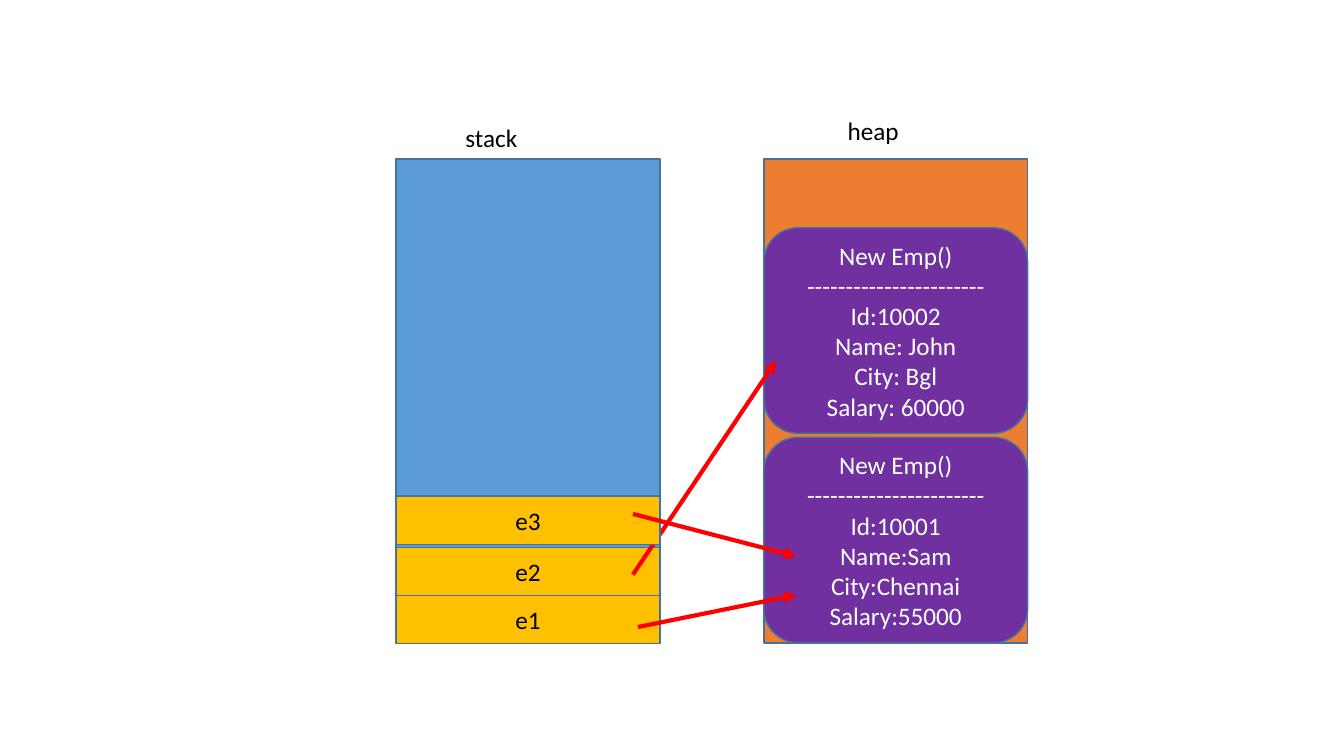
from dataclasses import dataclass

import pptx
import pptx.dml.color
import pptx.enum.shapes
import pptx.enum.text
import pptx.oxml
import pptx.oxml.ns
import pptx.util
from pptx.dml.color import RGBColor
from pptx.enum.shapes import MSO_SHAPE
from pptx.util import Cm

BLUE = RGBColor(0x5B, 0x9B, 0xD5)
ORANGE = RGBColor(0xED, 0x7D, 0x31)
AMBER = RGBColor(0xFF, 0xC0, 0x00)
PURPLE = RGBColor(0x70, 0x30, 0xA0)
OUTLINE = RGBColor(0x43, 0x73, 0x9E)
RED = RGBColor(0xFF, 0x00, 0x00)
BLACK = RGBColor(0x00, 0x00, 0x00)
WHITE = RGBColor(0xFF, 0xFF, 0xFF)

STACK_LEFT, HEAP_LEFT = 9.98, 19.25
MEMORY_TOP, MEMORY_HEIGHT = 4.01, 12.19
COLUMN_WIDTH = 6.65
VARIABLE_HEIGHT = 1.22
EMPLOYEE_HEIGHT = 5.18


@dataclass(frozen=True)
class Label:
    text: str
    left: float
    top: float


@dataclass(frozen=True)
class Reference:
    """A stack variable and the arrow to its heap object, in centimetres."""
    name: str
    top: float
    start: tuple[float, float]
    end: tuple[float, float]


@dataclass(frozen=True)
class Employee:
    top: float
    fields: tuple[str, ...]


LABELS = (Label("stack", 11.48, 2.97), Label("heap", 21.11, 2.77))
EMPLOYEES = (
    Employee(11.02, ("Id:10001", "Name:Sam", "City:Chennai", "Salary:55000")),
    Employee(5.74, ("Id:10002", "Name: John", "City: Bgl", "Salary: 60000")),
)
REFERENCES = (
    Reference("e1", 14.99, (16.08, 15.8), (20.07, 14.99)),
    Reference("e2", 13.79, (15.95, 14.48), (19.56, 9.09)),
    Reference("e3", 12.5, (15.95, 12.95), (20.07, 14.02)),
)


def write_lines(frame, lines: tuple[str, ...], color: RGBColor, alignment) -> None:
    for index, line in enumerate(lines):
        para = frame.add_paragraph() if index else frame.paragraphs[0]
        para.alignment = alignment
        span = para.add_run()
        span.text = line
        span.font.name = "Calibri"
        span.font.size = pptx.util.Pt(18)
        span.font.color.rgb = color


def add_block(page, kind: MSO_SHAPE, left: float, top: float, height: float,
              fill: RGBColor, lines: tuple[str, ...] = (),
              color: RGBColor = BLACK) -> None:
    box = page.shapes.add_shape(kind, Cm(left), Cm(top), Cm(COLUMN_WIDTH), Cm(height))
    box.shadow.inherit = False
    box.fill.solid()
    box.fill.fore_color.rgb = fill
    box.line.color.rgb = OUTLINE
    box.line.width = pptx.util.Pt(1)
    box.text_frame.vertical_anchor = pptx.enum.text.MSO_ANCHOR.MIDDLE
    write_lines(box.text_frame, lines, color, pptx.enum.text.PP_ALIGN.CENTER)


def add_label(page, label: Label) -> None:
    box = page.shapes.add_textbox(Cm(label.left), Cm(label.top), Cm(1.83), Cm(1.02))
    box.text_frame.word_wrap = False
    box.text_frame.auto_size = pptx.enum.text.MSO_AUTO_SIZE.SHAPE_TO_FIT_TEXT
    write_lines(box.text_frame, (label.text,), BLACK, pptx.enum.text.PP_ALIGN.LEFT)


def add_arrow(page, start: tuple[float, float], end: tuple[float, float]) -> None:
    arrow = page.shapes.add_connector(
        pptx.enum.shapes.MSO_CONNECTOR.STRAIGHT,
        *(Cm(length) for length in start + end))
    arrow.line.color.rgb = RED
    arrow.line.width = pptx.util.Pt(3)
    head = pptx.oxml.parse_xml(
        f'<a:tailEnd {pptx.oxml.ns.nsdecls("a")} type="triangle"/>')
    arrow.line._get_or_add_ln().append(head)
    effects = pptx.oxml.parse_xml(f'<a:effectLst {pptx.oxml.ns.nsdecls("a")}/>')
    arrow._element.spPr.append(effects)


def main() -> None:
    deck = pptx.Presentation()
    deck.slide_width, deck.slide_height = Cm(33.87), Cm(19.05)
    page = deck.slides.add_slide(deck.slide_layouts[6])

    for left, fill in ((STACK_LEFT, BLUE), (HEAP_LEFT, ORANGE)):
        add_block(page, MSO_SHAPE.RECTANGLE, left, MEMORY_TOP, MEMORY_HEIGHT, fill)
    for label in LABELS:
        add_label(page, label)
    for employee in EMPLOYEES:
        add_block(page, MSO_SHAPE.ROUNDED_RECTANGLE, HEAP_LEFT, employee.top,
                  EMPLOYEE_HEIGHT, PURPLE,
                  ("New Emp()", "-" * 23) + employee.fields, WHITE)
    for reference in REFERENCES:
        add_block(page, MSO_SHAPE.RECTANGLE, STACK_LEFT, reference.top,
                  VARIABLE_HEIGHT, AMBER, (reference.name,))
        add_arrow(page, reference.start, reference.end)

    deck.save("out.pptx")


if __name__ == "__main__":
    main()
